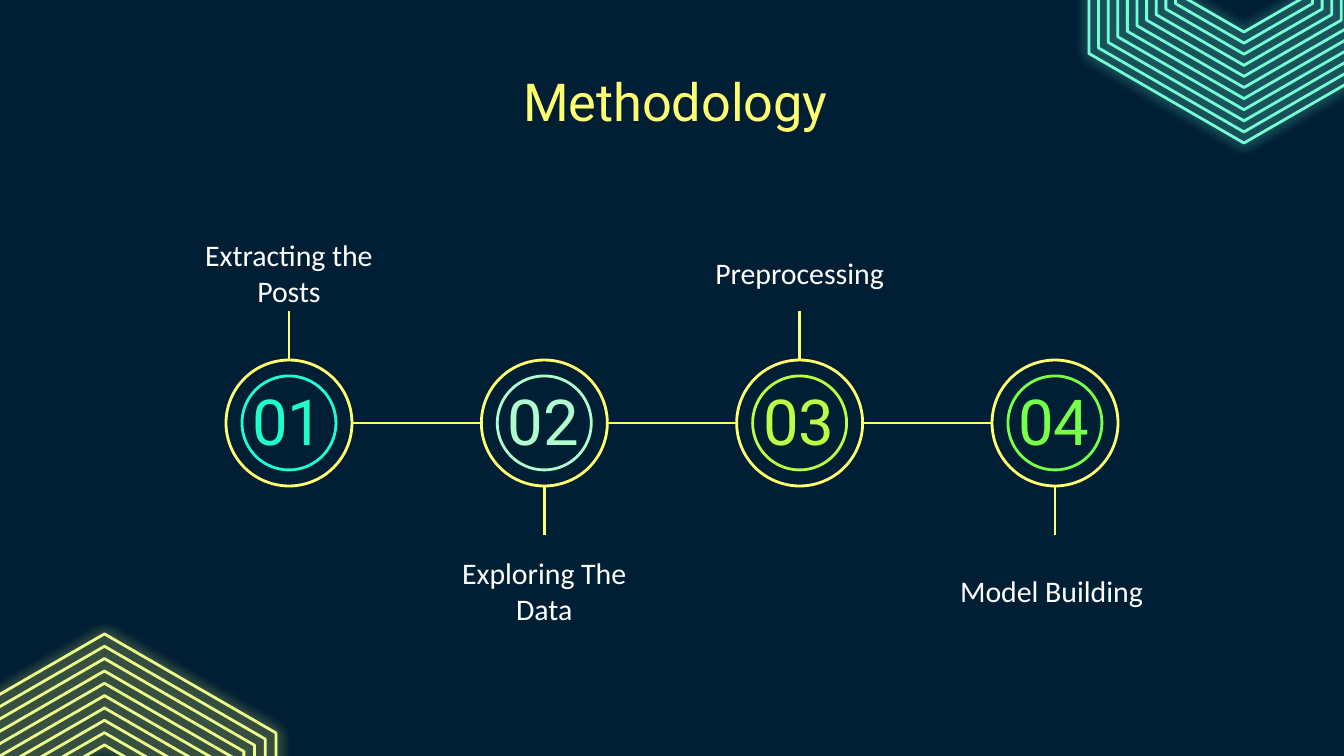
from math import cos, pi, sin

from lxml import etree
from pptx import Presentation
from pptx.dml.color import RGBColor
from pptx.enum.shapes import MSO_CONNECTOR, MSO_SHAPE
from pptx.enum.text import MSO_ANCHOR, PP_ALIGN
from pptx.oxml.ns import qn
from pptx.util import Pt

OVAL = MSO_SHAPE.OVAL
STRAIGHT = MSO_CONNECTOR.STRAIGHT
MIDDLE = MSO_ANCHOR.MIDDLE
CENTER = PP_ALIGN.CENTER

WIDTH, HEIGHT = 1344, 756
SCALE = 9144000 / WIDTH
AXIS = 188  # from the top of the flow to the middle of its rings

NAVY, YELLOW, WHITE = "001F35", "FFFF70", "FFFFFF"
LIME, AQUA = "ECFF8C", "75FFD7"

TITLE = {"name": "Roboto", "size": Pt(28)}
NUMBER = {"name": "Roboto", "size": Pt(34)}
LABEL = {"name": "Calibri", "size": Pt(16)}
FRAME = {"word_wrap": True, "vertical_anchor": MIDDLE}
SIDES = ("left", "top", "right", "bottom")

STEPS = [
    ("Extracting the Posts", "1FFFCE"),
    ("Exploring The Data", "B0FCCE"),
    ("Preprocessing", "BCFD45"),
    ("Model Building ", "77FF4A"),
]


def px(*values):
    return [round(value * SCALE) for value in values]


def paint(target, color):
    target.rgb = RGBColor.from_string(color)


def style(target, formats):
    for name, value in formats.items():
        setattr(target, name, value)


def stroke(shape, color):
    paint(shape.line.color, color)
    shape.line.width = Pt(1.5)


def write(slide, text, box, font, color):
    frame = slide.shapes.add_textbox(*px(*box)).text_frame
    style(frame, FRAME)
    for side in SIDES:
        setattr(frame, "margin_" + side, px(13)[0])
    para = frame.paragraphs[0]
    para.alignment = CENTER
    run = para.add_run()
    run.text = text
    style(run.font, font)
    paint(run.font.color, color)


def ring(slide, x, y, size, color):
    """Draw an open circle centred on x, y."""
    shape = slide.shapes.add_shape(
        OVAL, *px(x - size / 2, y - size / 2, size, size))
    shape.shadow.inherit = False
    shape.fill.background()
    stroke(shape, color)


def rule(slide, *ends):
    line = slide.shapes.add_connector(STRAIGHT, *px(*ends))
    stroke(line, YELLOW)
    etree.SubElement(line._element.spPr, qn("a:effectLst"))


def glow(shape, color):
    effects = etree.SubElement(shape._element.spPr, qn("a:effectLst"))
    shadow = etree.SubElement(
        effects, qn("a:outerShdw"), blurRad=str(Pt(6.8)), dist="0",
        dir="0", algn="ctr", rotWithShape="0")
    tint = etree.SubElement(shadow, qn("a:srgbClr"), val=color)
    etree.SubElement(tint, qn("a:alpha"), val="90000")


def hexes(slide, box, inner, count, color, light):
    """Nest hexagons in a box, from its height down to the inner radius."""
    left, top, width, height = box
    x, y, outer = left + width / 2, top + height / 2, height / 2
    group = slide.shapes.add_group_shape()
    for i in range(count):
        size = outer - (outer - inner) * i / (count - 1)
        turns = [pi / 3 * k - pi / 2 for k in range(6)]
        points = [px(x + size * cos(t), y + size * sin(t)) for t in turns]
        path = group.shapes.build_freeform(*points[0])
        path.add_line_segments(points[1:])
        shape = path.convert_to_shape()
        shape.fill.background()
        stroke(shape, color)
        glow(shape, light)


def step(slide, box, number, label, color, above):
    """Draw a numbered ring with its label above or below it."""
    left, top, width, height = box
    x, y = left + width / 2, top + AXIS
    ring(slide, x, y, 126, YELLOW)
    ring(slide, x, y, 94, color)
    write(slide, f"{number:02}", (x - 53, y - 37, 104, 69), NUMBER, color)
    way = -1 if above else 1
    rule(slide, x, y + way * 63, x, y + way * 112)
    at = top if above else top + height - 75
    write(slide, label, (left, at, width, 75), LABEL, WHITE)


def flow(slide, box, cell):
    """Spread the steps evenly over the box and link their rings."""
    left, top, width, height = box
    pitch = (width - cell) / (len(STEPS) - 1)
    for i, (label, color) in enumerate(STEPS):
        x = left + pitch * i
        part = (x, top, cell, height)
        step(slide, part, i + 1, label, color, i % 2 == 0)
        if i:
            mid, y = x + cell / 2, top + AXIS
            rule(slide, mid - pitch + 63, y, mid - 63, y)


def main():
    deck = Presentation()
    deck.slide_width, deck.slide_height = px(WIDTH, HEIGHT)
    slide = deck.slides.add_slide(deck.slide_layouts[6])
    fill = slide.background.fill
    fill.solid()
    paint(fill.fore_color, NAVY)

    hexes(slide, (-67, 634, 343, 396), 87, 10, LIME, YELLOW)
    hexes(slide, (1089, -215, 310, 358), 68, 11, AQUA, AQUA)
    write(slide, "Methodology", (105, 79, 1141, 43), TITLE, YELLOW)
    flow(slide, (168, 235, 1008, 393), 242)
    deck.save("out.pptx")


if __name__ == "__main__":
    main()
